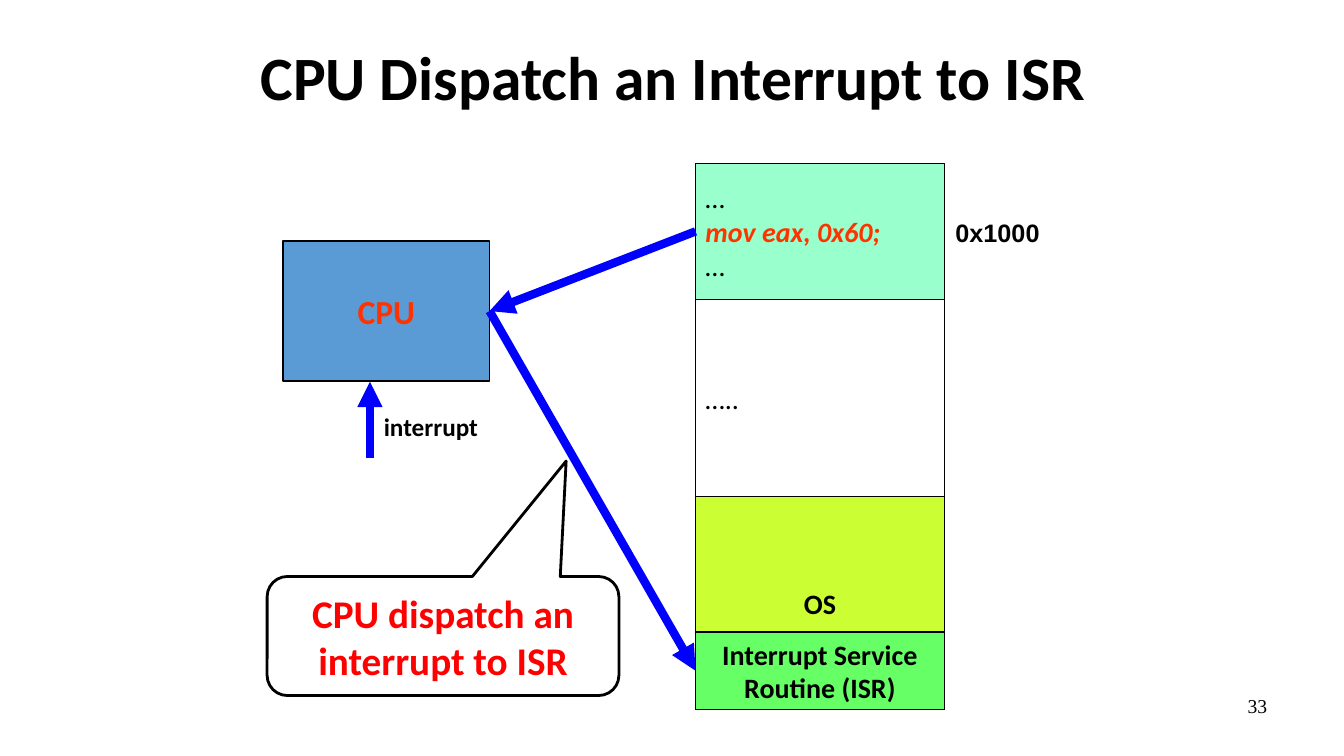
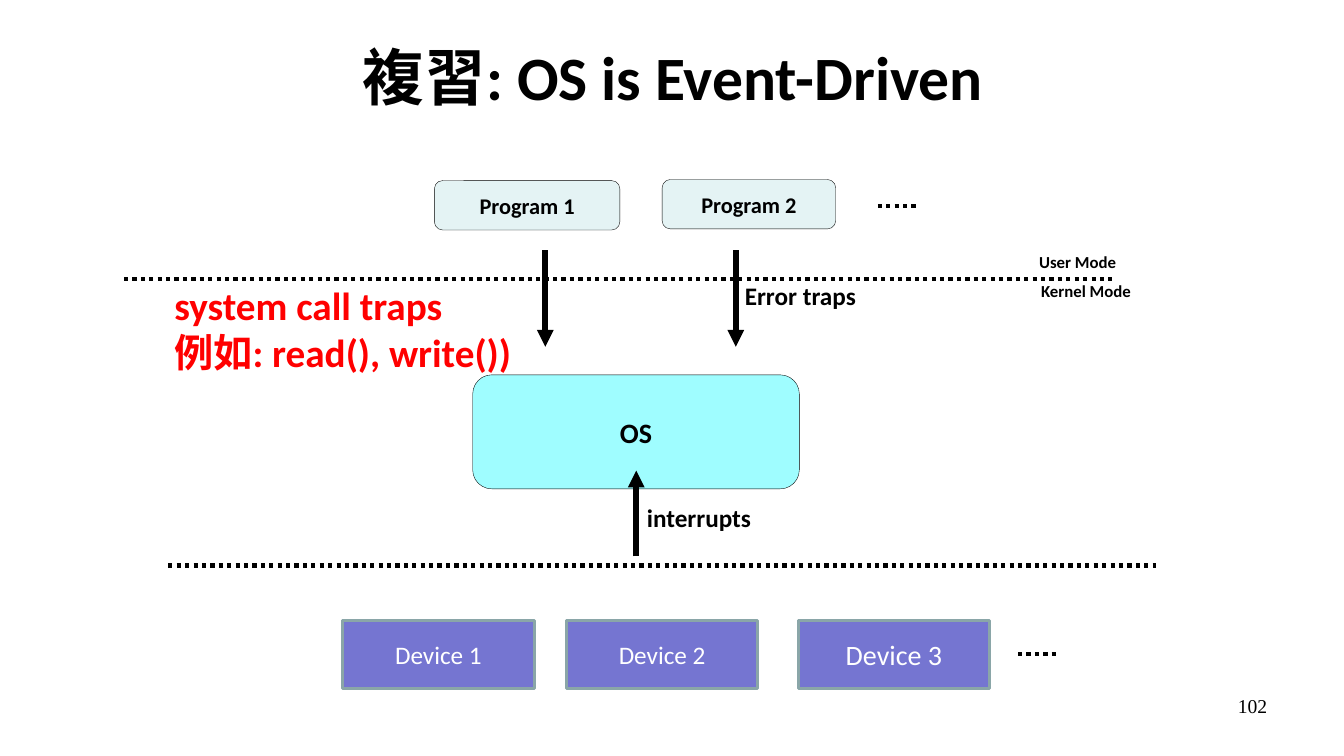
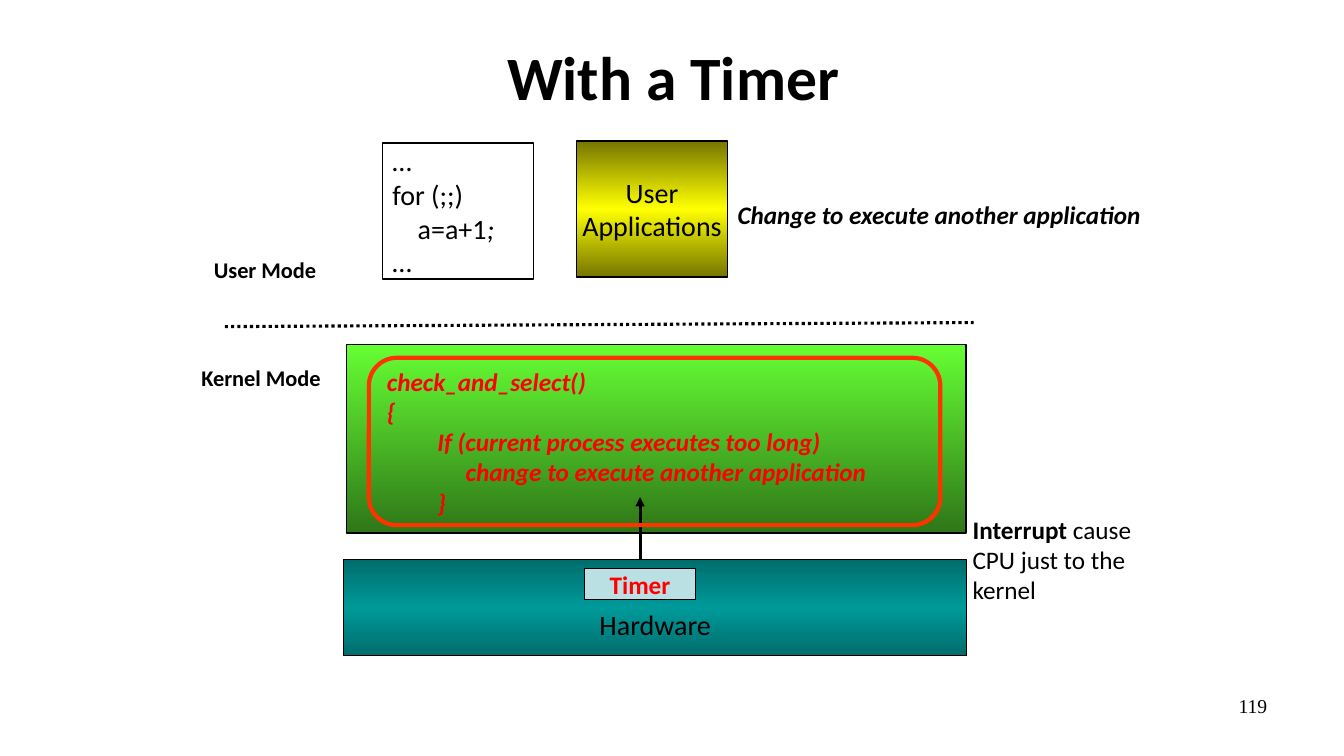
from itertools import accumulate

from lxml import etree
from pptx import Presentation
from pptx import util as u
from pptx.dml.color import RGBColor
from pptx.enum import dml, shapes, text
from pptx.oxml.ns import qn

BLACK = RGBColor(0x00, 0x00, 0x00)
WHITE = RGBColor(0xFF, 0xFF, 0xFF)
RED = RGBColor(0xFF, 0x00, 0x00)
ORANGE = RGBColor(0xFF, 0x33, 0x00)
BLUE = RGBColor(0x00, 0x00, 0xFF)
CPU_BLUE = RGBColor(0x5B, 0x9B, 0xD5)
MINT = RGBColor(0x99, 0xFF, 0xCC)
LIME = RGBColor(0xCC, 0xFF, 0x33)
GREEN = RGBColor(0x66, 0xFF, 0x66)
PALE = RGBColor(0xE4, 0xF3, 0xF4)
CYAN = RGBColor(0x9F, 0xFD, 0xFF)
VIOLET = RGBColor(0x75, 0x75, 0xD1)
GREY = RGBColor(0x8A, 0xA6, 0xA8)
TIMER_BLUE = RGBColor(0xBB, 0xE0, 0xE3)
TEAL_BANDS = ("006D6D", "009999", "006D6D")
GREEN_BANDS = ("66FF33", "2F7618")
YELLOW_BANDS = ("767600", "FFFF00", "767600")

LEFT, CENTER, RIGHT = (text.PP_ALIGN.LEFT, text.PP_ALIGN.CENTER,
                       text.PP_ALIGN.RIGHT)
TOP, MIDDLE = text.MSO_ANCHOR.TOP, text.MSO_ANCHOR.MIDDLE
RECT = shapes.MSO_SHAPE.RECTANGLE
ROUND = shapes.MSO_SHAPE.ROUNDED_RECTANGLE
CALLOUT = shapes.MSO_SHAPE.ROUNDED_RECTANGULAR_CALLOUT

# Slide 1: memory blocks from top to bottom (height, fill, lines, alignment)
MEMORY = [
    (97, MINT, ["…", [("mov eax, 0x60;", dict(color=ORANGE, bold=True,
                                              italic=True))], "…"], LEFT),
    (141, None, ["….."], LEFT),
    (152, LIME, [[("OS", dict(bold=True))]], CENTER),
]
ISR = ["Interrupt Service", "Routine (ISR)"]

# Slide 2
PROGRAMS = [("Program 1", 310.3, 129, 132.5), ("Program 2", 473, 128.2, 124)]
DEVICES = [("Device 1", 244.8, 18), ("Device 2", 404.6, 18),
           ("Device 3", 570.2, 20)]
DOTTED = [(88.6, 199.4, 794.2), (627, 146.9, 655.2),
          (120.2, 403.9, 825.8), (727.2, 467.3, 756)]
EVENTS = [((389.5, 178.6), (389.5, 247.7)), ((525.6, 178.6), (525.6, 247.7)),
          ((454.5, 397.4), (454.5, 336.2))]
EVENT_LABELS = [
    (["User Mode"], (729.4, 176.4, 80.6, 23), 12, CENTER, BLACK),
    (["Kernel Mode"], (730, 196.6, 91.5, 23), 12, CENTER, BLACK),
    (["interrupts"], (455, 355, 103, 31), 18, LEFT, BLACK),
    (["Error traps"], (524.9, 196.6, 98, 29), 18, LEFT, BLACK),
    (["system call traps", "例如: read(), write())"],
     (117.4, 197.3, 275, 75), 28, LEFT, RED),
]

# Slide 3
LOOP = ["…", "for (;;)", [("    a=a+1", {}), (";", dict(italic=True))], "…"]
CHECK = ["check_and_select()", "{", "If (current process executes too long)",
         "     change to execute another application", "}"]
CHECK_INDENTS = (0, 0, 36, 36, 36)
INTERRUPT = [[("Interrupt", dict(bold=True)), (" cause", {})],
             "CPU just to the kernel"]


def write(sp, lines, size, align=CENTER, anchor=MIDDLE, sides=7.2, top=3.6,
          indents=(), **style):
    """Fill sp with lines; a line is a string or a list of (text, style) runs."""
    tf = sp.text_frame
    tf.word_wrap = True
    tf.vertical_anchor = anchor
    tf.margin_left = tf.margin_right = u.Pt(sides)
    tf.margin_top = u.Pt(top)
    for i, line in enumerate(lines):
        p = tf.paragraphs[0] if i == 0 else tf.add_paragraph()
        p.alignment = align
        if indents and indents[i]:
            p._p.get_or_add_pPr().set("marL", str(u.Pt(indents[i])))
        for words, own in [(line, {})] if isinstance(line, str) else line:
            look = {**style, **own}
            r = p.add_run()
            r.text = words
            r.font.size = u.Pt(size)
            r.font.name = look.get("font", "Calibri")
            r.font.bold = look.get("bold", False)
            r.font.italic = look.get("italic", False)
            r.font.color.rgb = look.get("color", BLACK)


def label(s, lines, box, size, align=LEFT, anchor=TOP, **style):
    sp = s.shapes.add_textbox(*map(u.Pt, box))
    write(sp, lines, size, align, anchor, **style)


def shade(sp, bands):
    """Vertical gradient with evenly spaced colours."""
    sp.fill.gradient()
    sp.fill.gradient_angle = 270
    stops = sp._element.spPr.find(".//" + qn("a:gsLst"))
    for old in list(stops):
        stops.remove(old)
    for i, colour in enumerate(bands):
        stop = etree.SubElement(stops, qn("a:gs"),
                                pos=str(100000 * i // (len(bands) - 1)))
        etree.SubElement(stop, qn("a:srgbClr"), val=colour)


def block(s, box, fill=None, kind=RECT, line=BLACK, width=1):
    sp = s.shapes.add_shape(kind, *map(u.Pt, box))
    sp.shadow.inherit = False
    if fill is None:
        sp.fill.background()
    elif isinstance(fill, RGBColor):
        sp.fill.solid()
        sp.fill.fore_color.rgb = fill
    else:
        shade(sp, fill)
    sp.line.color.rgb = line
    sp.line.width = u.Pt(width)
    return sp


def connect(s, start, end, width, color=BLACK, arrow=False):
    """Line between points; an end may also be a (shape, side) pair."""
    c = s.shapes.add_connector(shapes.MSO_CONNECTOR.STRAIGHT, 0, 0, 0, 0)
    if isinstance(start[0], (int, float)):
        c.begin_x, c.begin_y = map(u.Pt, start)
    else:
        c.begin_connect(*start)
    if isinstance(end[0], (int, float)):
        c.end_x, c.end_y = map(u.Pt, end)
    else:
        c.end_connect(*end)
    c.line.width = u.Pt(width)
    c.line.color.rgb = color
    if arrow:
        etree.SubElement(c.line._get_or_add_ln(), qn("a:tailEnd"),
                         type="triangle")
    else:
        c.line.dash_style = dml.MSO_LINE.ROUND_DOT
    etree.SubElement(c._element.spPr, qn("a:effectLst"))


def new_slide(prs, title, number):
    s = prs.slides.add_slide(prs.slide_layouts[6])
    label(s, [title], (49, 9.4, 864, 90), 44, CENTER, MIDDLE, bold=True)
    label(s, [number], (688.3, 491.8, 224, 37.4), 14, RIGHT,
          font="Times New Roman")
    return s


def dispatch_slide(prs):
    s = new_slide(prs, "CPU Dispatch an Interrupt to ISR", "33")
    x, w = 496.8, 177.8
    tops = accumulate([h for h, *_ in MEMORY], initial=116.8)
    blocks = []
    for y, (h, fill, lines, align) in zip(tops, MEMORY):
        sp = block(s, (x, y, w, h), fill)
        write(sp, lines, 20, align)
        blocks.append(sp)
    cpu = block(s, (202.3, 172.2, 147.4, 100), CPU_BLUE)
    write(cpu, ["CPU"], 24, bold=True, color=ORANGE)
    isr = block(s, (x, 451.4, w, 55.4), GREEN)
    write(isr, ISR, 20, bold=True)
    for start, end in [((blocks[0], 1), (cpu, 3)), ((cpu, 3), (isr, 1)),
                       ((264.3, 327), (264.3, 272.7))]:
        connect(s, start, end, 6, BLUE, arrow=True)
    label(s, ["interrupt"], (267.1, 290.2, 86, 29), 18, bold=True)
    note = block(s, (190.8, 411.8, 251.3, 85), WHITE, CALLOUT, width=2)
    for i, value in enumerate((0.35, -1.47, 0.17)):
        note.adjustments[i] = value
    write(note, ["CPU dispatch an interrupt to ISR"], 28, bold=True, color=RED)
    label(s, ["0x1000"], (675.4, 152, 83, 29), 18, bold=True, font="Arial")


def event_slide(prs):
    s = new_slide(prs, "複習: OS is Event-Driven", "102")
    for x1, y, x2 in DOTTED:
        connect(s, (x1, y), (x2, y), 3)
    for name, x, y, w in PROGRAMS:
        sp = block(s, (x, y, w, 35.3), PALE, ROUND, width=0.25)
        write(sp, [name], 16, bold=True)
    kernel = block(s, (337.7, 267.8, 233.3, 81.4), CYAN, ROUND, width=0.25)
    write(kernel, ["OS"], 20, bold=True)
    for start, end in EVENTS:
        connect(s, start, end, 4, arrow=True)
    for name, x, size in DEVICES:
        sp = block(s, (x, 443.5, 136.8, 48.2), VIOLET, line=GREY, width=2)
        write(sp, [name], size, color=WHITE)
    for lines, box, size, align, color in EVENT_LABELS:
        label(s, lines, box, size, align, bold=True, color=color)


def timer_slide(prs):
    s = new_slide(prs, "With a Timer", "119")
    connect(s, (160.6, 233.3), (695.5, 230.4), 2.25)
    hardware = block(s, (245.5, 399.6, 445, 68.8), TEAL_BANDS)
    write(hardware, ["Hardware"], 20, top=28)
    block(s, (247.7, 246.2, 442.4, 134.6), GREEN_BANDS)
    label(s, ["User Mode"], (144.7, 179.3, 89.3, 27), 16, CENTER, bold=True)
    label(s, ["Kernel Mode"], (134, 256.3, 105, 27), 16, CENTER, bold=True)
    label(s, INTERRUPT, (687.6, 363.6, 150.5, 73), 18)
    connect(s, (457.2, 400.3), (457.2, 355), 2.25, arrow=True)
    timer = block(s, (417.6, 406.1, 79.2, 22.5), TIMER_BLUE, width=0.75)
    write(timer, ["Timer"], 18, bold=True, color=RED)
    label(s, ["Change to execute another application"],
          (519.8, 139, 314.6, 29), 18, bold=True, italic=True)
    check = block(s, (263.5, 255.6, 408.2, 119.5), None, ROUND, ORANGE, 3)
    write(check, CHECK, 18, LEFT, indents=CHECK_INDENTS, bold=True,
          italic=True, color=RED)
    loop = block(s, (273.2, 102.2, 108, 97.2), WHITE)
    write(loop, LOOP, 20, LEFT)
    apps = block(s, (411.8, 100.6, 108, 97.2), YELLOW_BANDS)
    write(apps, ["User", "Applications"], 20, sides=0)


def main():
    prs = Presentation()
    prs.slide_width, prs.slide_height = u.Pt(960), u.Pt(540)
    for build in (dispatch_slide, event_slide, timer_slide):
        build(prs)
    prs.save("out.pptx")


if __name__ == "__main__":
    main()
